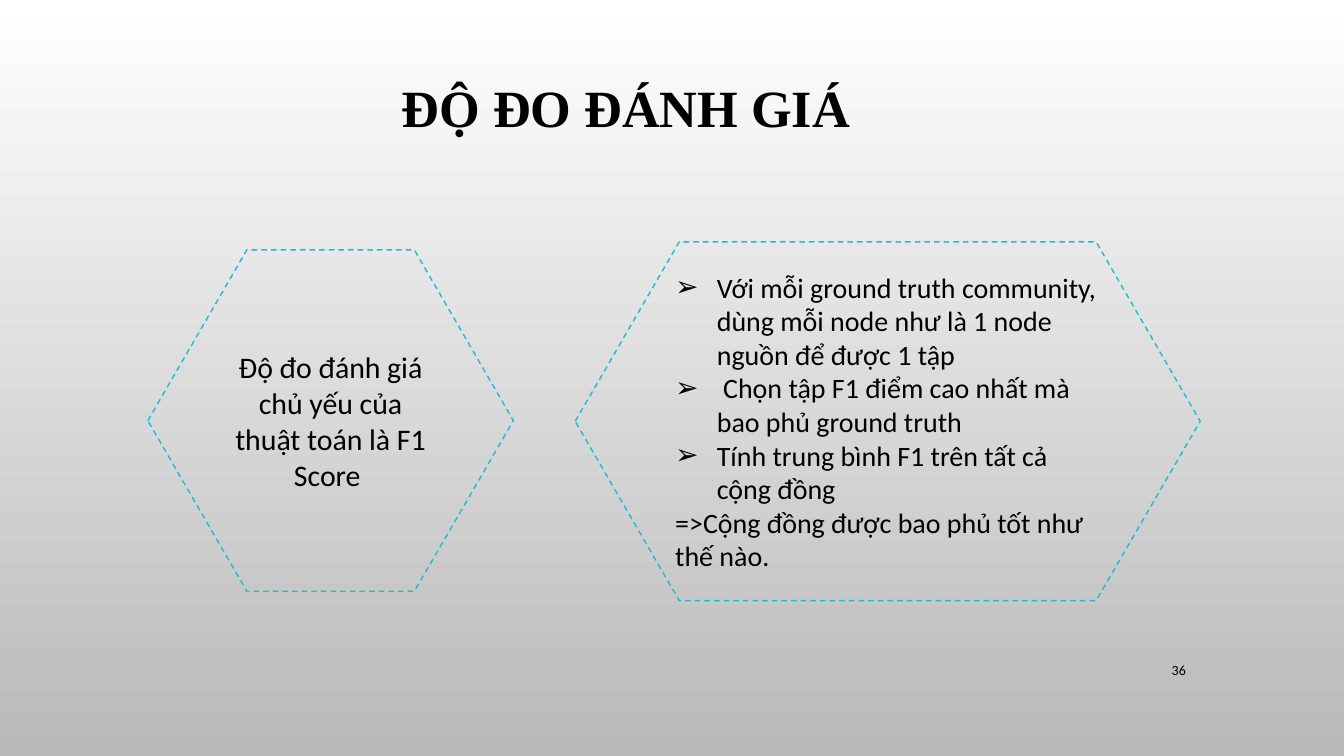
import dataclasses

import lxml.etree
import pptx
import pptx.dml.color
import pptx.enum.dml
import pptx.enum.shapes
import pptx.enum.text
import pptx.oxml.ns
import pptx.util

Inches = pptx.util.Inches
Pt = pptx.util.Pt
Align = pptx.enum.text.PP_ALIGN
Anchor = pptx.enum.text.MSO_ANCHOR


@dataclasses.dataclass(frozen=True)
class Theme:
    top: str = "FFFFFF"
    bottom: str = "B9B9B9"
    ink: str = "000000"
    outline: str = "19BBD5"
    body_font: str = "Calibri"
    title_font: str = "Times New Roman"
    title_size: float = 28
    measure_size: float = 16
    steps_size: float = 15
    number_size: float = 7.5


THEME = Theme()


def color(value):
    return pptx.dml.color.RGBColor.from_string(value)


def paint_background(page):
    fill = page.background.fill
    fill.gradient()
    fill.gradient_angle = 270
    for stop, position, value in zip(fill.gradient_stops, (0, 1), (THEME.top, THEME.bottom)):
        stop.position = position
        stop.color.rgb = color(value)


def prepare_frame(shape, anchor):
    frame = shape.text_frame
    frame.word_wrap = True
    frame.vertical_anchor = anchor
    frame.margin_left = frame.margin_right = Inches(0.1)
    frame.margin_top = frame.margin_bottom = Inches(0.1)
    return frame


def write_span(para, text, size, font=THEME.body_font, bold=False):
    span = para.add_run()
    span.text = text
    span.font.name = font
    span.font.size = Pt(size)
    span.font.bold = bold
    span.font.color.rgb = color(THEME.ink)


def add_bullet(para):
    properties = para._p.get_or_add_pPr()
    properties.set("marL", str(Inches(0.31)))
    properties.set("indent", str(Inches(-0.31)))
    font = lxml.etree.SubElement(properties, pptx.oxml.ns.qn("a:buFont"))
    font.set("typeface", THEME.body_font)
    bullet = lxml.etree.SubElement(properties, pptx.oxml.ns.qn("a:buChar"))
    bullet.set("char", "➢")


def add_text_box(page, left, top, width, height, anchor):
    box = page.shapes.add_textbox(Inches(left), Inches(top), Inches(width), Inches(height))
    return prepare_frame(box, anchor)


def add_hexagon(page, left, top, width, height):
    hexagon = page.shapes.add_shape(
        pptx.enum.shapes.MSO_SHAPE.HEXAGON,
        Inches(left), Inches(top), Inches(width), Inches(height))
    hexagon.adjustments[0] = 0.29
    hexagon.shadow.inherit = False
    hexagon.fill.background()
    hexagon.line.color.rgb = color(THEME.outline)
    hexagon.line.width = Pt(0.75)
    hexagon.line.dash_style = pptx.enum.dml.MSO_LINE.DASH
    return prepare_frame(hexagon, Anchor.MIDDLE)


def add_title(page):
    para = add_text_box(page, 2.31, 0.42, 4.79, 0.71, Anchor.BOTTOM).paragraphs[0]
    para.alignment = Align.CENTER
    para.line_spacing = 0.9
    write_span(para, "ĐỘ ĐO ĐÁNH GIÁ ", THEME.title_size, THEME.title_font, True)


def add_measure(page):
    para = add_hexagon(page, 1.1, 1.86, 2.72, 2.54).paragraphs[0]
    para.alignment = Align.CENTER
    write_span(para, "Độ đo đánh giá chủ yếu của thuật toán là F1 Score ", THEME.measure_size)


def add_steps(page):
    frame = add_hexagon(page, 4.28, 1.8, 4.65, 2.67)
    steps = (
        "Với mỗi ground truth community, dùng mỗi node như là 1 node nguồn để được 1 tập",
        " Chọn tập F1 điểm cao nhất mà bao phủ ground truth",
        "Tính trung bình F1 trên tất cả cộng đồng",
    )
    conclusion = "=>Cộng đồng được bao phủ tốt như thế nào."
    for index, text in enumerate((*steps, conclusion)):
        para = frame.add_paragraph() if index else frame.paragraphs[0]
        para.alignment = Align.LEFT
        if index < len(steps):
            add_bullet(para)
        write_span(para, text, THEME.steps_size)


def add_page_number(page):
    para = add_text_box(page, 8.62, 4.86, 0.63, 0.3, Anchor.TOP).paragraphs[0]
    write_span(para, "36", THEME.number_size)


def main():
    deck = pptx.Presentation()
    deck.slide_width = Inches(10)
    deck.slide_height = deck.slide_width * 9 // 16
    page = deck.slides.add_slide(deck.slide_layouts[6])
    paint_background(page)
    add_page_number(page)
    add_title(page)
    add_measure(page)
    add_steps(page)
    deck.save("out.pptx")


if __name__ == "__main__":
    main()
